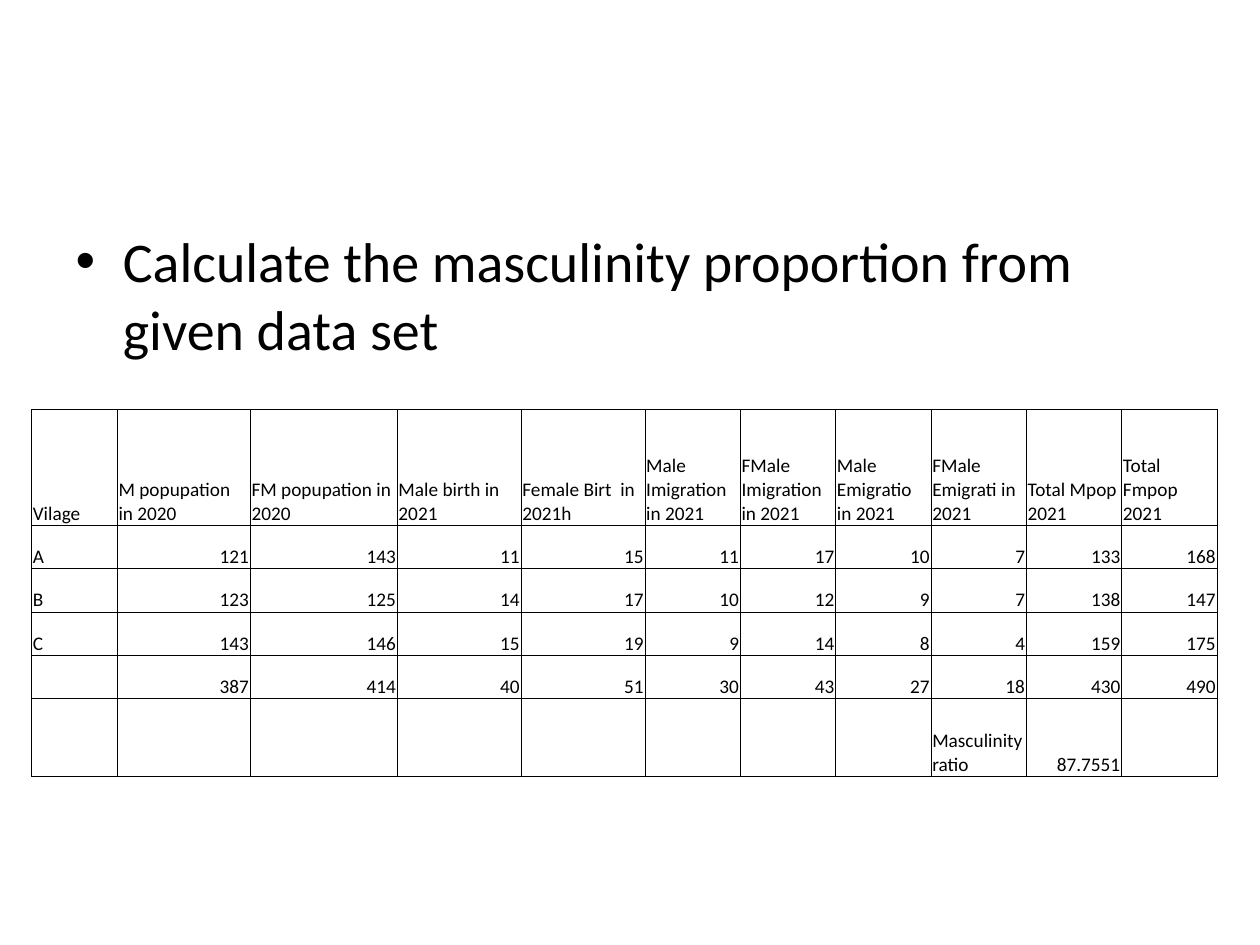
from lxml import etree
from pptx import Presentation
from pptx.dml.color import RGBColor
from pptx.enum import text
from pptx.oxml import ns
from pptx.util import Pt

TASK = "Calculate the masculinity proportion from given data set"
HEADINGS = [
    "Vilage", "M popupation in 2020", "FM popupation in 2020",
    "Male birth in 2021", "Female Birt  in 2021h",
    "Male  Imigration in 2021", "FMale Imigration  in 2021",
    "Male Emigratio in 2021", "FMale Emigrati in 2021",
    "Total Mpop 2021", "Total Fmpop 2021",
]
VILLAGES = [
    ("A", 121, 143, 11, 15, 11, 17, 10, 7, 133, 168),
    ("B", 123, 125, 14, 17, 10, 12, 9, 7, 138, 147),
    ("C", 143, 146, 15, 19, 9, 14, 8, 4, 159, 175),
]
TOTALS = ("", 387, 414, 40, 51, 30, 43, 27, 18, 430, 490)
RATIO = ("",) * 8 + ("Masculinity ratio", 87.7551, "")
ROWS = [HEADINGS, *VILLAGES, TOTALS, RATIO]
COLUMN_WIDTHS = [49, 76, 84, 70.8, 70.8] + [54.5] * 6
ROW_HEIGHTS = [66.4] + [24.7] * 4 + [44.6]
FONT, INK, RULE = "Calibri", "000000", 0.5


def style(paragraph, size):
    for run in paragraph.runs:
        run.font.name = FONT
        run.font.size = Pt(size)
        run.font.color.rgb = RGBColor.from_string(INK)


def add_borders(cell):
    properties = cell._tc.get_or_add_tcPr()
    for side in ("a:lnL", "a:lnR", "a:lnT", "a:lnB"):
        line = etree.SubElement(properties, ns.qn(side), w=str(Pt(RULE)))
        fill = etree.SubElement(line, ns.qn("a:solidFill"))
        etree.SubElement(fill, ns.qn("a:srgbClr"), val=INK)


def fill_cell(cell, value):
    add_borders(cell)
    cell.fill.background()
    cell.margin_left = cell.margin_right = cell.margin_top = Pt(0.75)
    cell.margin_bottom = 0
    cell.vertical_anchor = text.MSO_ANCHOR.BOTTOM
    cell.text = str(value)
    paragraph = cell.text_frame.paragraphs[0]
    if not isinstance(value, str):
        paragraph.alignment = text.PP_ALIGN.RIGHT
    style(paragraph, 11)


def add_population_table(slide):
    frame = slide.shapes.add_table(
        len(ROWS), len(HEADINGS), Pt(18), Pt(234),
        Pt(sum(COLUMN_WIDTHS)), Pt(sum(ROW_HEIGHTS)))
    population = frame.table
    population.first_row = population.horz_banding = False
    for column, width in zip(population.columns, COLUMN_WIDTHS):
        column.width = Pt(width)
    for row, height, values in zip(population.rows, ROW_HEIGHTS, ROWS):
        row.height = Pt(height)
        for cell, value in zip(row.cells, values):
            fill_cell(cell, value)


def main():
    """Build the masculinity proportion exercise slide."""
    deck = Presentation()
    deck.slide_width, deck.slide_height = Pt(720), Pt(540)
    slide = deck.slides.add_slide(deck.slide_layouts[1])
    title = slide.shapes.title._element
    title.getparent().remove(title)
    task = slide.placeholders[1]
    task.left, task.top, task.width, task.height = map(Pt, (36, 126, 648, 84))
    task.text_frame.text = TASK
    style(task.text_frame.paragraphs[0], 32)
    add_population_table(slide)
    deck.save("out.pptx")


if __name__ == "__main__":
    main()
